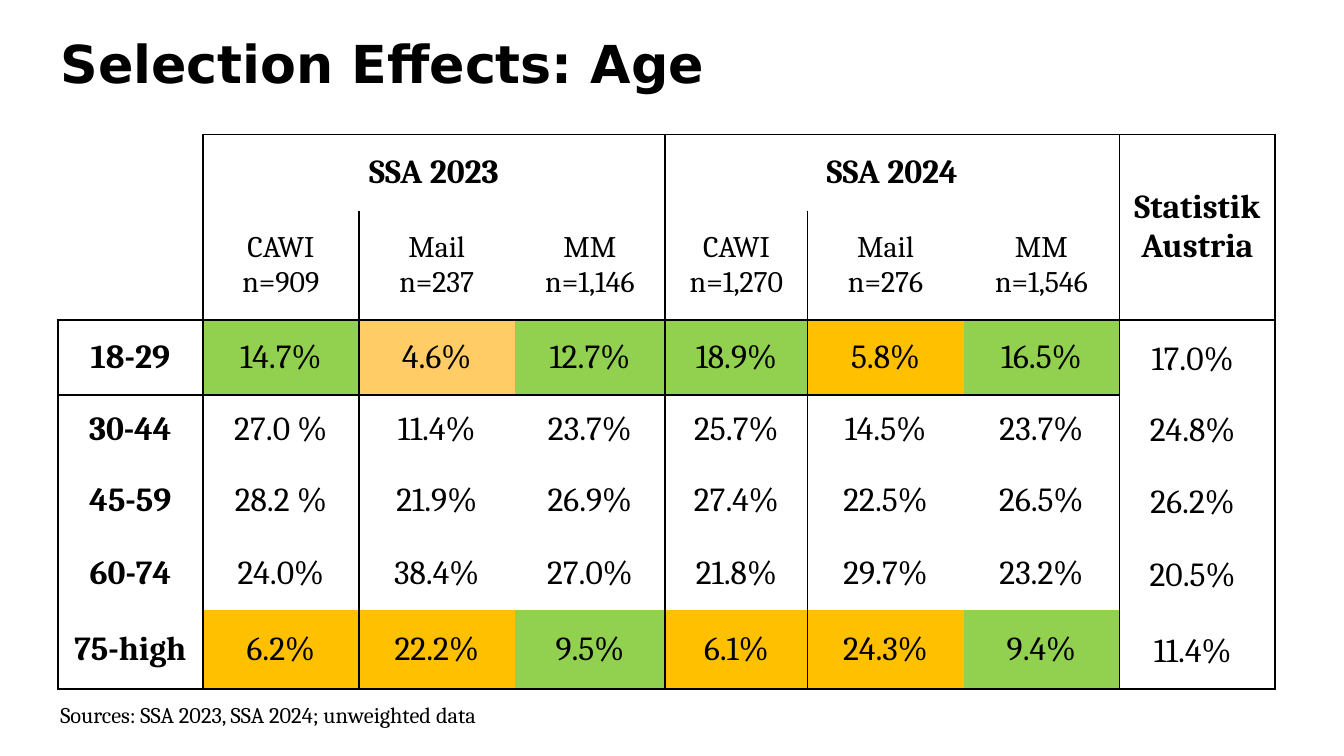
"""Build a slide with a table of survey selection effects by age."""
from lxml import etree
from pptx import Presentation
from pptx import util as u
from pptx.dml.color import RGBColor
from pptx.enum import text
from pptx.oxml.ns import qn

GREEN, ORANGE, PALE, WHITE, BLACK = "92D050", "FFC000", "FFCC66", "FFFFFF", "000000"
COLUMNS = [1.08, 1.16, 1.16, 1.12, 1.06, 1.16, 1.16, 1.16]
ROWS = [0.57, 0.81, 0.56, 0.51, 0.55, 0.54, 0.59]
CELLS = [
    ["", "SSA 2023", "", "", "SSA 2024", "", "", "Statistik Austria"],
    ["", "CAWI n=909", "Mail n=237", "MM\nn=1,146",
     "CAWI\nn=1,270", "Mail\nn=276", "MM\nn=1,546", ""],
    ["18-29", "14.7%", "4.6%", "12.7%", "18.9%", "5.8%", "16.5%", "17.0%"],
    ["30-44", "27.0 %", "11.4%", "23.7%", "25.7%", "14.5%", "23.7%", "24.8%"],
    ["45-59", "28.2 %", "21.9%", "26.9%", "27.4%", "22.5%", "26.5%", "26.2%"],
    ["60-74", "24.0%", "38.4%", "27.0%", "21.8%", "29.7%", "23.2%", "20.5%"],
    ["75-high", "6.2%", "22.2%", "9.5%", "6.1%", "24.3%", "9.4%", "11.4%"],
]
FILLS = {
    2: [None, GREEN, PALE, GREEN, GREEN, ORANGE, GREEN, None],
    6: [None, ORANGE, ORANGE, GREEN, ORANGE, ORANGE, GREEN, None],
}
VERTICAL_START = {0: 2, 1: 0, 2: 1, 4: 0, 5: 1, 7: 0, 8: 0}
HORIZONTAL_SPAN = {0: range(1, 8), 2: range(8), 3: range(7), 7: range(8)}


def format_text(frame, size, name="Cambria", bold=False, color=BLACK, align=text.PP_ALIGN.LEFT):
    for paragraph in frame.paragraphs:
        paragraph.alignment = align
        for run in paragraph.runs:
            run.font.size, run.font.name, run.font.bold = u.Pt(size), name, bold
            run.font.color.rgb = RGBColor.from_string(color)


def add_border(cell, side, visible):
    properties = cell._tc.get_or_add_tcPr()
    line = etree.SubElement(properties, qn("a:ln" + side), w=str(u.Pt(1)))
    if visible:
        fill = etree.SubElement(line, qn("a:solidFill"))
        etree.SubElement(fill, qn("a:srgbClr"), val=BLACK)
    else:
        etree.SubElement(line, qn("a:noFill"))


presentation = Presentation()
presentation.slide_width = u.Inches(10)
presentation.slide_height = presentation.slide_width * 9 // 16
slide = presentation.slides.add_slide(presentation.slide_layouts[5])

title = slide.shapes.title
title.left, title.top, title.width, title.height = map(u.Inches, (0.35, 0.23, 7.4, 0.53))
title.text_frame.text = "Selection Effects: Age"
title.text_frame.vertical_anchor = text.MSO_ANCHOR.MIDDLE
title.text_frame.paragraphs[0].line_spacing = 0.9
format_text(title.text_frame, 28, "DejaVu Sans", bold=True)

table_frame = slide.shapes.add_table(
    len(ROWS), len(COLUMNS), u.Inches(0.43), u.Inches(1),
    u.Inches(sum(COLUMNS)), u.Inches(sum(ROWS)))
table = table_frame.table
table.first_row = table.horz_banding = False
for column, width in zip(table.columns, COLUMNS):
    column.width = u.Inches(width)
for row, height in zip(table.rows, ROWS):
    row.height = u.Inches(height)

for first, last in [((0, 1), (0, 3)), ((0, 4), (0, 6)), ((0, 7), (1, 7))]:
    table.cell(*first).merge(table.cell(*last))

for r, values in enumerate(CELLS):
    for c, value in enumerate(values):
        cell = table.cell(r, c)
        for side, boundary in (("L", c), ("R", c + 1)):
            add_border(cell, side, r >= VERTICAL_START.get(boundary, len(ROWS)))
        for side, boundary in (("T", r), ("B", r + 1)):
            add_border(cell, side, c in HORIZONTAL_SPAN.get(boundary, ()))
        cell.fill.solid()
        color = FILLS[r][c] if r in FILLS else None
        cell.fill.fore_color.rgb = RGBColor.from_string(color or WHITE)
        cell.vertical_anchor = text.MSO_ANCHOR.MIDDLE
        if not value:
            continue
        cell.text_frame.text = value
        format_text(cell.text_frame, 16 if r == 1 else 18, bold=r == 0 or c == 0,
                    align=text.PP_ALIGN.CENTER)
        if r >= 2 and c == 7:
            cell.margin_left, cell.margin_right = u.Inches(0.05), u.Inches(0.12)
            cell.margin_top = cell.margin_bottom = 0
            cell.text_frame.paragraphs[0].line_spacing = 1.09

sources = slide.shapes.add_textbox(*map(u.Inches, (0.35, 5.17, 9.05, 0.3)))
sources.text_frame.word_wrap = True
sources.text_frame.auto_size = text.MSO_AUTO_SIZE.SHAPE_TO_FIT_TEXT
sources.text_frame.text = "Sources: SSA 2023, SSA 2024; unweighted data"
format_text(sources.text_frame, 12)

presentation.save("out.pptx")
